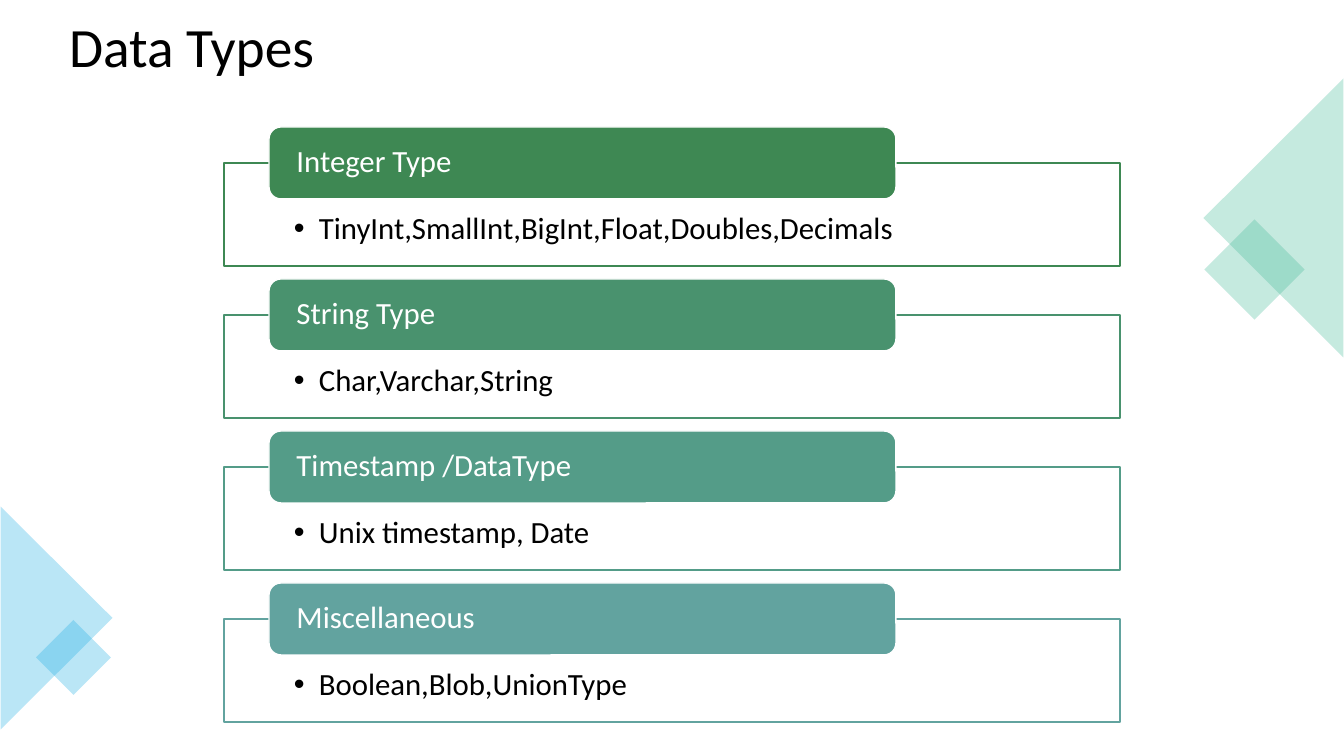
from lxml.etree import SubElement
from pptx import Presentation
from pptx.dml.color import RGBColor
from pptx.enum.shapes import MSO_SHAPE
from pptx.enum.text import MSO_ANCHOR, PP_ALIGN
from pptx.oxml.ns import qn
from pptx.util import Pt

PX = 914400 / 100.8
COLORS = {
    "white": "FFFFFF", "black": "000000", "mint": "42BA97", "sky": "1CADE4",
    "integer": "3E8853", "string": "49926E", "time": "549C88", "misc": "62A39F",
}


def add_block(page, kind, bounds, fill, opacity=100, line=None, rotation=0):
    block = page.shapes.add_shape(kind, *[round(n * PX) for n in bounds])
    block.shadow.inherit = False
    block.rotation = rotation
    block.fill.solid()
    block.fill.fore_color.rgb = RGBColor.from_string(COLORS[fill])
    if opacity < 100:
        color = block.fill._xPr.find(qn("a:solidFill"))[0]
        SubElement(color, qn("a:alpha"), val=str(opacity * 1000))
    if line:
        block.line.color.rgb = RGBColor.from_string(COLORS[line])
        block.line.width = Pt(1)
    else:
        block.line.fill.background()
    return block


def write(box, text, size, color, insets, anchor=MSO_ANCHOR.MIDDLE, bullet=False):
    frame = box.text_frame
    frame.word_wrap = True
    frame.vertical_anchor = anchor
    (frame.margin_left, frame.margin_top,
     frame.margin_right, frame.margin_bottom) = [round(n * PX) for n in insets]
    para = frame.paragraphs[0]
    para.alignment = PP_ALIGN.LEFT
    para.line_spacing = 0.9
    if bullet:
        properties = para._p.get_or_add_pPr()
        properties.set("marL", str(round(25 * PX)))
        properties.set("indent", str(round(-25 * PX)))
        SubElement(properties, qn("a:buFont"), typeface="Arial")
        SubElement(properties, qn("a:buChar"), char="•")
    span = para.add_run()
    span.text = text
    span.font.name = "Calibri"
    span.font.size = Pt(size)
    span.font.color.rgb = RGBColor.from_string(COLORS[color])


deck = Presentation()
deck.slide_width = round(1344 * PX)
deck.slide_height = round(756 * PX)
page = deck.slides.add_slide(deck.slide_layouts[6])

decorations = [
    (MSO_SHAPE.RECTANGLE, (1219, 234, 71, 71), "mint", 45),
    (MSO_SHAPE.ISOSCELES_TRIANGLE, (1134, 148, 279, 140), "mint", 270),
    (MSO_SHAPE.ISOSCELES_TRIANGLE, (-55, 562, 223, 112), "sky", 90),
    (MSO_SHAPE.RECTANGLE, (47, 631, 53, 53), "sky", 45),
]
for kind, bounds, color, rotation in decorations:
    add_block(page, kind, bounds, color, opacity=30, rotation=rotation)

title = page.shapes.add_textbox(*[round(n * PX) for n in (59, 27, 388, 45)])
write(title, "Data Types", 39.6, "black", (10, 5, 10, 5))

data_types = [
    ("Integer Type", "TinyInt,SmallInt,BigInt,Float,Doubles,Decimals", "integer"),
    ("String Type", "Char,Varchar,String", "string"),
    ("Timestamp /DataType", "Unix timestamp, Date", "time"),
    ("Miscellaneous", "Boolean,Blob,UnionType", "misc"),
]
for row, (heading, members, color) in enumerate(data_types):
    top = 127 + 152 * row
    panel = add_block(page, MSO_SHAPE.RECTANGLE, (224, top + 36, 896, 103),
                      "white", opacity=90, line=color)
    write(panel, members, 22, "black", (70, 50, 70, 17), MSO_ANCHOR.TOP, bullet=True)
    tab = add_block(page, MSO_SHAPE.ROUNDED_RECTANGLE, (269, top, 627, 72),
                    color, line="white")
    write(tab, heading, 22, "white", (24, 0, 24, 0))

deck.save("out.pptx")
